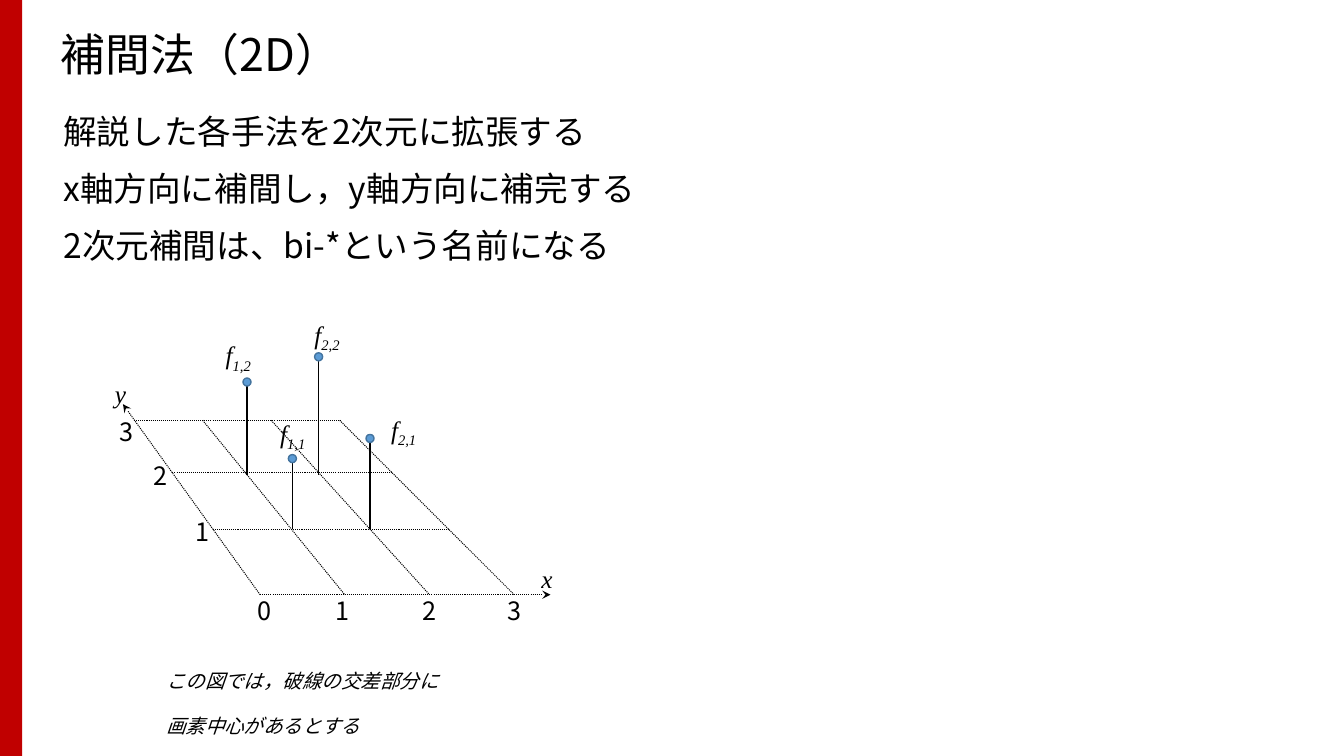
"""Build the slide on two-dimensional interpolation."""
from lxml import etree
from pptx import Presentation
from pptx import util as u
from pptx.dml.color import RGBColor
from pptx.enum import dml, shapes, text
from pptx.oxml.ns import qn

SANS, SERIF = "Noto Sans CJK JP", "Times New Roman"

deck = Presentation()
deck.slide_width, deck.slide_height = u.Inches(13.33), u.Inches(7.5)
page = deck.slides.add_slide(deck.slide_layouts[5])


def style(span, size, face=SANS, italic=None, lowered=False):
    """Format one run for both Latin and Japanese characters."""
    span.font.size, span.font.name, span.font.italic = u.Pt(size), face, italic
    span.font.color.rgb = RGBColor.from_string("000000")
    properties = span._r.get_or_add_rPr()
    etree.SubElement(properties, qn("a:ea")).set("typeface", SANS)
    if lowered:
        properties.set("baseline", "-25000")


def draw_line(start, end, width=0.75, dotted=True, arrow=False):
    """Draw a black line in inches, with an optional arrowhead at its end."""
    line = page.shapes.add_connector(
        shapes.MSO_CONNECTOR.STRAIGHT, *[u.Inches(v) for v in (*start, *end)])
    line.line.color.rgb = RGBColor.from_string("000000")
    line.line.width = u.Pt(width)
    if dotted:
        line.line.dash_style = dml.MSO_LINE.ROUND_DOT
    if arrow:
        etree.SubElement(line.line._get_or_add_ln(), qn("a:tailEnd")).set("type", "stealth")
    etree.SubElement(line._element.spPr, qn("a:effectLst"))


bar = page.shapes.add_shape(
    shapes.MSO_SHAPE.RECTANGLE, 0, 0, u.Inches(0.22), deck.slide_height)
bar.shadow.inherit = False
bar.fill.solid()
bar.fill.fore_color.rgb = RGBColor.from_string("C00000")
bar.line.fill.background()

title = page.shapes.title
title.left, title.top, title.width, title.height = [
    u.Inches(v) for v in (0.5, 0.17, 12.55, 0.8)]
title.text_frame.text = "補間法（2D）"
title.text_frame.vertical_anchor = text.MSO_ANCHOR.MIDDLE
title.text_frame.paragraphs[0].alignment = text.PP_ALIGN.LEFT
title.text_frame.paragraphs[0].line_spacing = 0.9
style(title.text_frame.paragraphs[0].runs[0], 32)

body = page.shapes.add_textbox(*[u.Inches(v) for v in (0.53, 1.05, 6.35, 1.65)])
body.text_frame.word_wrap = True
body.text_frame.text = ("解説した各手法を2次元に拡張する\n"
                        "x軸方向に補間し，y軸方向に補完する\n"
                        "2次元補間は、bi-*という名前になる")
for index, para in enumerate(body.text_frame.paragraphs):
    para.space_before, para.space_after = u.Pt(6 if index else 0), u.Pt(6)
    style(para.runs[0], 24)

front, back = 5.9, 4.17
for column in range(1, 4):
    draw_line((1.33 + 0.68 * column, back), (2.58 + 0.84 * column, front))
for left, right, row in [(1.33, 3.38, back), (1.71, 3.9, 4.69), (2.11, 4.45, 5.25)]:
    draw_line((left, row), (right, row))
draw_line((2.58, front), (1.22, 4.01), arrow=True)
draw_line((2.58, front), (5.46, front), arrow=True)

samples = [(2.45, 4.71, 3.79), (3.16, 4.71, 3.54), (2.9, 5.25, 4.55), (3.67, 5.25, 4.35)]
dot_size = 0.08
for x, foot, top in samples:
    draw_line((x, foot), (x, top), width=1.25, dotted=False)
for x, foot, top in samples:
    dot = page.shapes.add_shape(shapes.MSO_SHAPE.OVAL, *[
        u.Inches(v) for v in (x - dot_size / 2, top - dot_size / 2, dot_size, dot_size)])
    dot.shadow.inherit = False
    dot.fill.solid()
    dot.fill.fore_color.rgb = RGBColor.from_string("5B9BD5")
    dot.line.color.rgb = RGBColor.from_string("43739E")
    dot.line.width = u.Pt(1)

ticks = [("0", 2.46, 5.86), ("1", 3.23, 5.86), ("2", 4.09, 5.86), ("3", 4.94, 5.86),
         ("1", 1.84, 5.07), ("2", 1.42, 4.52), ("3", 1.09, 4.08)]
names = [("x", "", 5.27, 5.54, 0.31), ("y", "", 1.04, 3.7, 0.31),
         ("f", "2,2", 3.02, 3.12, 0.48), ("f", "2,1", 3.78, 4.06, 0.48),
         ("f", "1,2", 2.14, 3.32, 0.48), ("f", "1,1", 2.68, 4.1, 0.48)]
labels = [(tick, "", left, top, 0.36) for tick, left, top in ticks] + names
for word, subscript, left, top, width in labels:
    box = page.shapes.add_textbox(*[u.Inches(v) for v in (left, top, width, 0.4)])
    box.text_frame.word_wrap = False
    box.text_frame.auto_size = text.MSO_AUTO_SIZE.SHAPE_TO_FIT_TEXT
    box.text_frame.text = word
    para = box.text_frame.paragraphs[0]
    face, italic = (SANS, None) if word.isdigit() else (SERIF, True)
    style(para.runs[0], 18, face, italic)
    if subscript:
        span = para.add_run()
        span.text = subscript
        style(span, 18, face, italic, lowered=True)

caption = page.shapes.add_textbox(*[u.Inches(v) for v in (1.55, 6.36, 3.34, 0.64)])
caption.text_frame.word_wrap = False
caption.text_frame.auto_size = text.MSO_AUTO_SIZE.SHAPE_TO_FIT_TEXT
caption.text_frame.text = "この図では，破線の交差部分に\n画素中心があるとする"
for para in caption.text_frame.paragraphs:
    style(para.runs[0], 24, SERIF, True, lowered=True)

deck.save("out.pptx")
